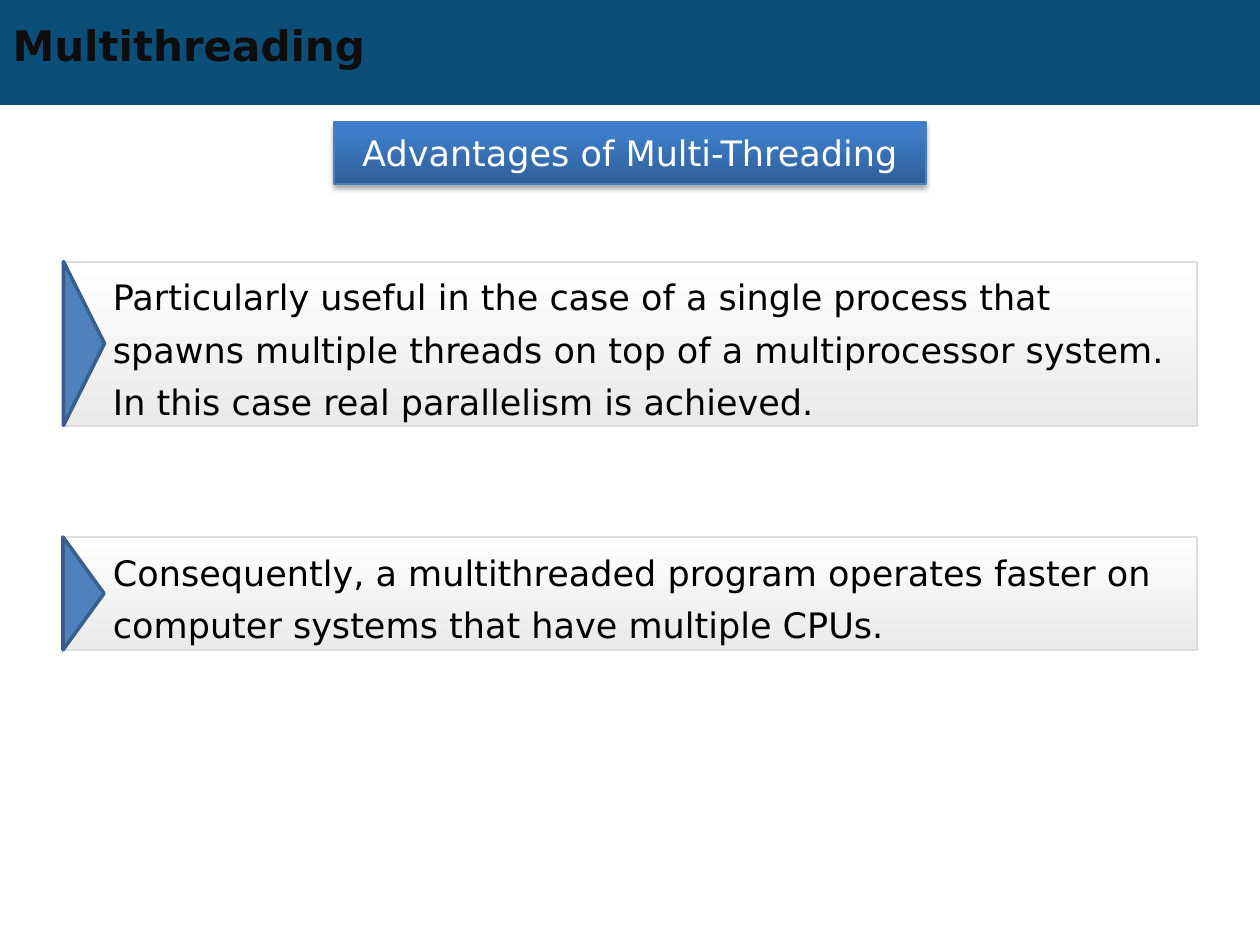
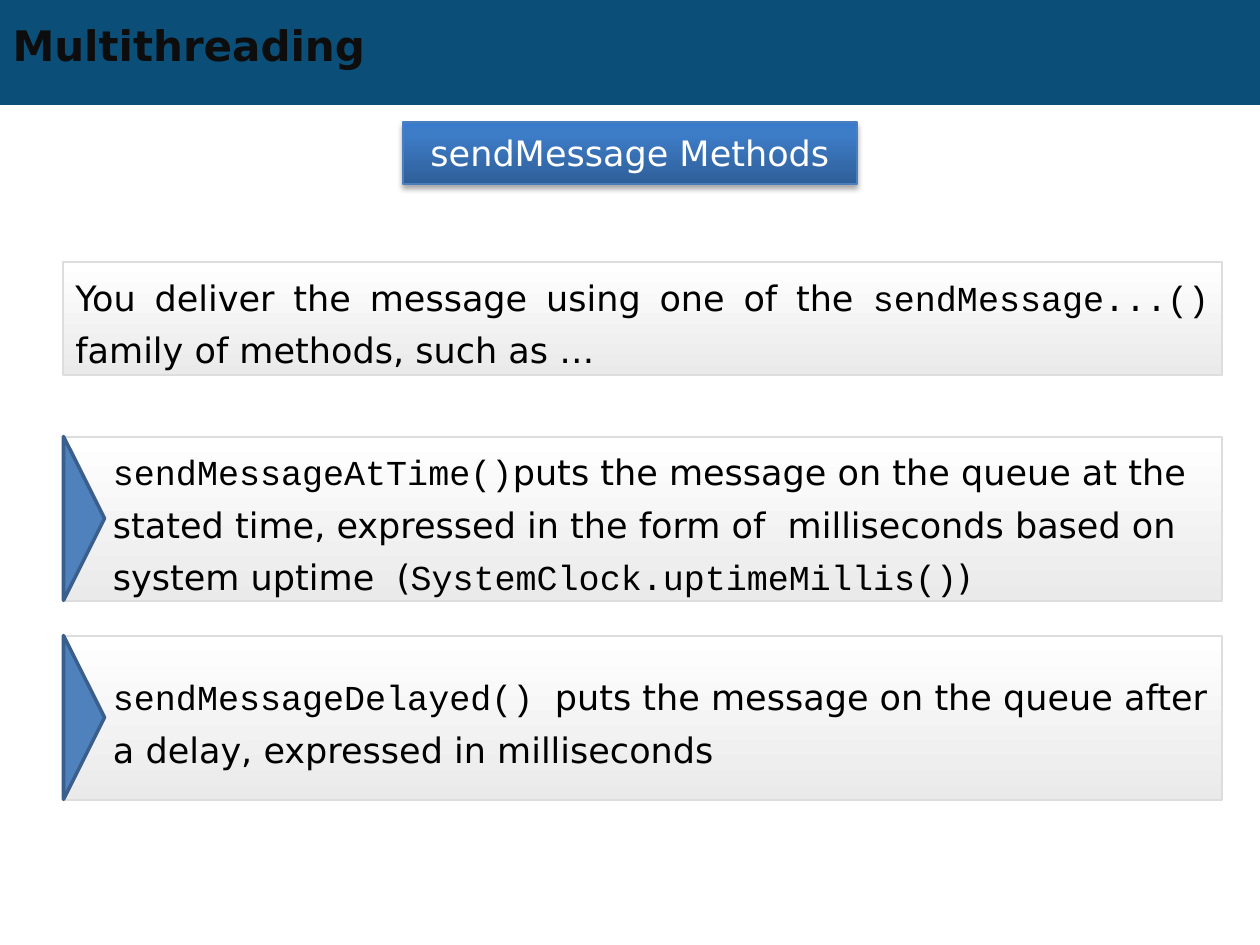
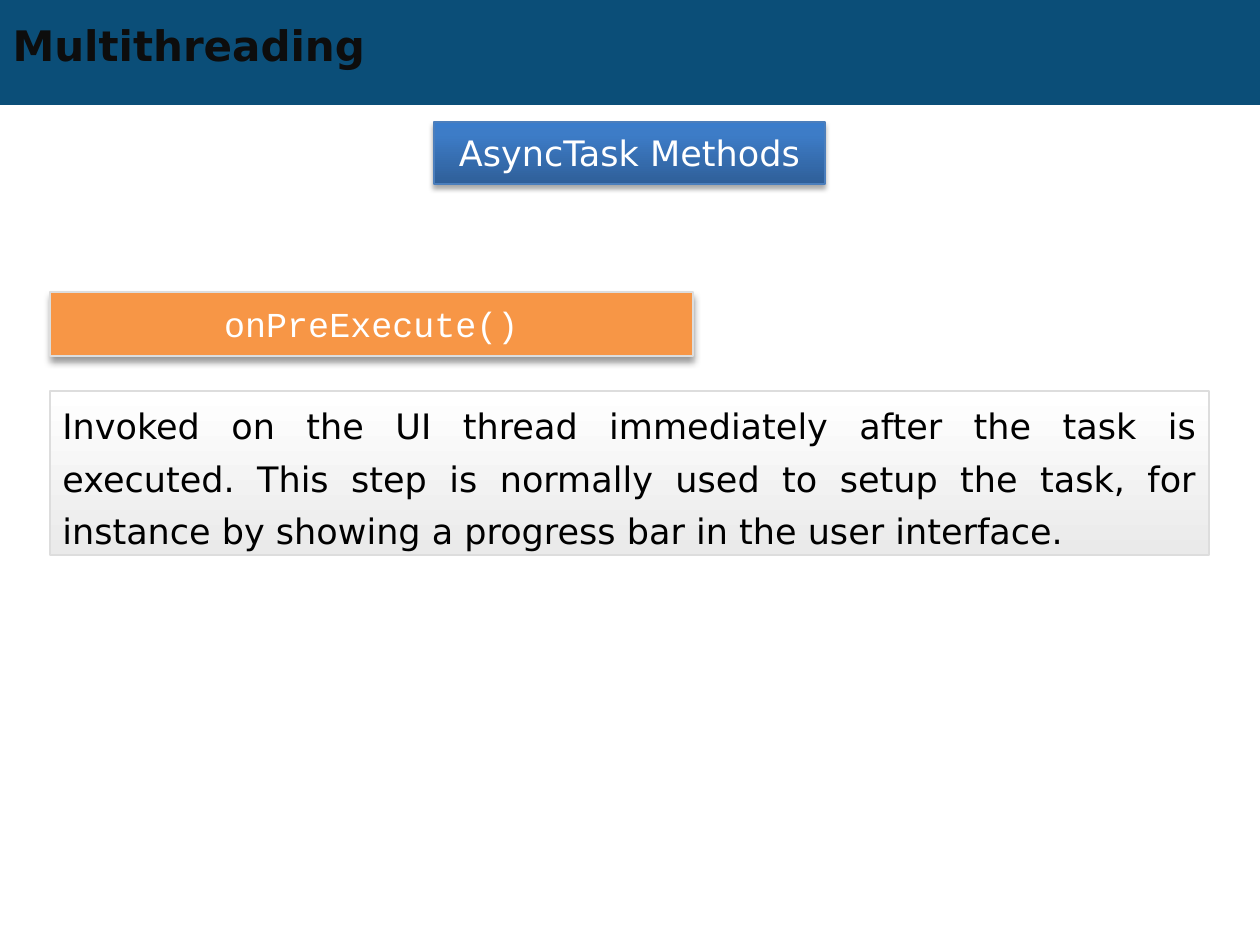
from copy import deepcopy

from lxml import etree
from pptx import Presentation
from pptx.dml.color import RGBColor
from pptx.enum.shapes import MSO_SHAPE
from pptx.enum.text import MSO_ANCHOR, MSO_AUTO_SIZE, PP_ALIGN
from pptx.oxml.ns import qn
from pptx.util import Pt

RECTANGLE, TRIANGLE = MSO_SHAPE.RECTANGLE, MSO_SHAPE.ISOSCELES_TRIANGLE
LEFT, CENTER, JUSTIFY = PP_ALIGN.LEFT, PP_ALIGN.CENTER, PP_ALIGN.JUSTIFY
MIDDLE = MSO_ANCHOR.MIDDLE

PX = 914400 / 126
SLIDE_WIDTH, SLIDE_HEIGHT = 1260, 945
BANNER_TOP, BANNER_HEIGHT = 122, 62
ARROW_DEPTH = 41
TITLE_ONLY = 5
BODY, CODE = "DejaVu Sans", "Courier New"

# Gradients are (angle, (position, colour), ...), shadows (opacity, blur, distance)
THEME = {
    "band": {"fill": "0B4E78"},
    "title": {"size": 24, "color": "0D0D0D"},
    "banner": {
        "gradient": (90, (0, "2F5F99"), (0.8, "3D7CC7"), (1, "3A7CCB")),
        "line": ("4B7EBC", 0.75), "shadow": (35, 3.1, 1.8),
        "size": 20, "color": "FFFFFF",
        "paragraph": {"alignment": CENTER},
    },
    "method": {
        "fill": "F79646", "line": ("DDDDDD", 1), "shadow": (40, 4, 3),
        "size": 20, "color": "FFFFFF",
        "frame": {"margin_left": 0, "margin_top": 0, "margin_right": 0, "margin_bottom": 0},
        "paragraph": {"alignment": CENTER},
    },
    "note": {
        "gradient": (270, (0, "FFFFFF"), (1, "EAEAEA")),
        "line": ("DDDDDD", 1), "size": 20, "color": "000000",
        "paragraph": {"alignment": JUSTIFY, "line_spacing": Pt(30)},
    },
    "arrow": {"fill": "4F81BD", "line": ("3A5F8C", 2)},
}
THEME["point"] = THEME["note"] | {
    "frame": {"margin_left": round(50 * PX), "margin_top": 0, "margin_bottom": 0},
    "paragraph": {"alignment": LEFT, "line_spacing": Pt(30)},
}

# Each block: style, left, top, width, height, runs of (text, font)
SLIDES = [
    {
        "banner": ("Advantages of Multi-Threading", 592),
        "blocks": [
            ("point", 63, 262, 1134, 164, [
                ("Particularly useful in the case of a single process that spawns "
                 "multiple threads on top of a multiprocessor system. In this case "
                 "real parallelism is achieved.", BODY)]),
            ("point", 63, 537, 1134, 113, [
                ("Consequently, a multithreaded program operates faster on computer "
                 "systems that have multiple CPUs.", BODY)]),
        ],
    },
    {
        "banner": ("sendMessage Methods", 454),
        "blocks": [
            ("note", 63, 262, 1159, 113, [
                ("You deliver the message using one of the ", BODY),
                ("sendMessage...() ", CODE),
                ("family of methods, such as …", BODY)]),
            ("point", 63, 437, 1159, 164, [
                ("sendMessageAtTime()", CODE),
                ("puts the message on the queue at the stated time, expressed in the "
                 "form of  milliseconds based on system uptime  (", BODY),
                ("SystemClock.uptimeMillis()", CODE),
                (")", BODY)]),
            ("point", 63, 636, 1159, 164, [
                ("sendMessageDelayed() ", CODE),
                ("puts the message on the queue after a delay, expressed in "
                 "milliseconds", BODY)]),
        ],
    },
    {
        "banner": ("AsyncTask Methods", 391),
        "blocks": [
            ("method", 50, 292, 643, 64, [("onPreExecute()", CODE)]),
            ("note", 50, 391, 1159, 164, [
                ("Invoked on the UI thread immediately after the task is executed. "
                 "This step is normally used to setup the task, for instance by "
                 "showing a progress bar in the user interface.", BODY)]),
        ],
    },
]


def add_styled_shape(slide, preset, bounds, style):
    shape = slide.shapes.add_shape(preset, *(round(value * PX) for value in bounds))
    shape.shadow.inherit = False
    properties = shape._element.spPr
    if "gradient" in style:
        angle, *stops = style["gradient"]
        shape.fill.gradient()
        shape.fill.gradient_angle = angle
        stop_list = properties.find(".//" + qn("a:gsLst"))
        for _ in stops[2:]:
            stop_list.append(deepcopy(stop_list[-1]))
        for stop, (position, color) in zip(shape.fill.gradient_stops, stops):
            stop.position = position
            stop.color.rgb = RGBColor.from_string(color)
    else:
        shape.fill.solid()
        shape.fill.fore_color.rgb = RGBColor.from_string(style["fill"])
    if "line" in style:
        color, width = style["line"]
        shape.line.color.rgb = RGBColor.from_string(color)
        shape.line.width = Pt(width)
    else:
        shape.line.fill.background()
    if "shadow" in style:
        opacity, blur, distance = style["shadow"]
        shadow = etree.SubElement(
            properties.find(qn("a:effectLst")), qn("a:outerShdw"),
            blurRad=str(Pt(blur)), dist=str(Pt(distance)), dir="5400000", rotWithShape="0")
        shadow_color = etree.SubElement(shadow, qn("a:srgbClr"), val="000000")
        etree.SubElement(shadow_color, qn("a:alpha"), val=str(opacity * 1000))
    return shape


def write_text(shape, runs, style, bold=False):
    frame = shape.text_frame
    paragraph = frame.paragraphs[0]
    frame_format = {"word_wrap": True, "vertical_anchor": MIDDLE,
                    "auto_size": MSO_AUTO_SIZE.NONE}
    for target, values in ((frame, frame_format | style.get("frame", {})),
                           (paragraph, style.get("paragraph", {"alignment": LEFT}))):
        for attribute, value in values.items():
            setattr(target, attribute, value)
    for text, font_name in runs:
        run = paragraph.add_run()
        run.text = text
        font_format = {"name": font_name, "size": Pt(style["size"]), "bold": bold}
        for attribute, value in font_format.items():
            setattr(run.font, attribute, value)
        run.font.color.rgb = RGBColor.from_string(style["color"])


presentation = Presentation()
presentation.slide_width = round(SLIDE_WIDTH * PX)
presentation.slide_height = round(SLIDE_HEIGHT * PX)
layout = presentation.slide_layouts[TITLE_ONLY]

for number, content in enumerate(SLIDES):
    slide = presentation.slides.add_slide(layout)

    # Header band, moved into the shared layout once
    if number == 0:
        band = add_styled_shape(slide, RECTANGLE, (0, 0, SLIDE_WIDTH, 105), THEME["band"])
        layout.shapes._spTree.insert(2, band._element)

    # Title
    title = slide.shapes.title
    title_bounds = {"left": 0, "top": 18, "width": 1134, "height": 54}
    for attribute, value in title_bounds.items():
        setattr(title, attribute, round(value * PX))
    write_text(title, [("Multithreading", BODY)], THEME["title"], bold=True)

    # Centred topic banner
    topic, width = content["banner"]
    bounds = ((SLIDE_WIDTH - width) // 2, BANNER_TOP, width, BANNER_HEIGHT)
    banner = add_styled_shape(slide, RECTANGLE, bounds, THEME["banner"])
    write_text(banner, [(topic, BODY)], THEME["banner"])

    # Text blocks, with an arrow at the left edge of each point
    for kind, left, top, width, height, runs in content["blocks"]:
        block = add_styled_shape(slide, RECTANGLE, (left, top, width, height), THEME[kind])
        write_text(block, runs, THEME[kind])
        if kind == "point":
            shift = (height - ARROW_DEPTH) // 2
            bounds = (left - shift, top + shift, height, ARROW_DEPTH)
            arrow = add_styled_shape(slide, TRIANGLE, bounds, THEME["arrow"])
            arrow.rotation = 90
            slide.shapes.add_group_shape([block, arrow])

presentation.save("out.pptx")
